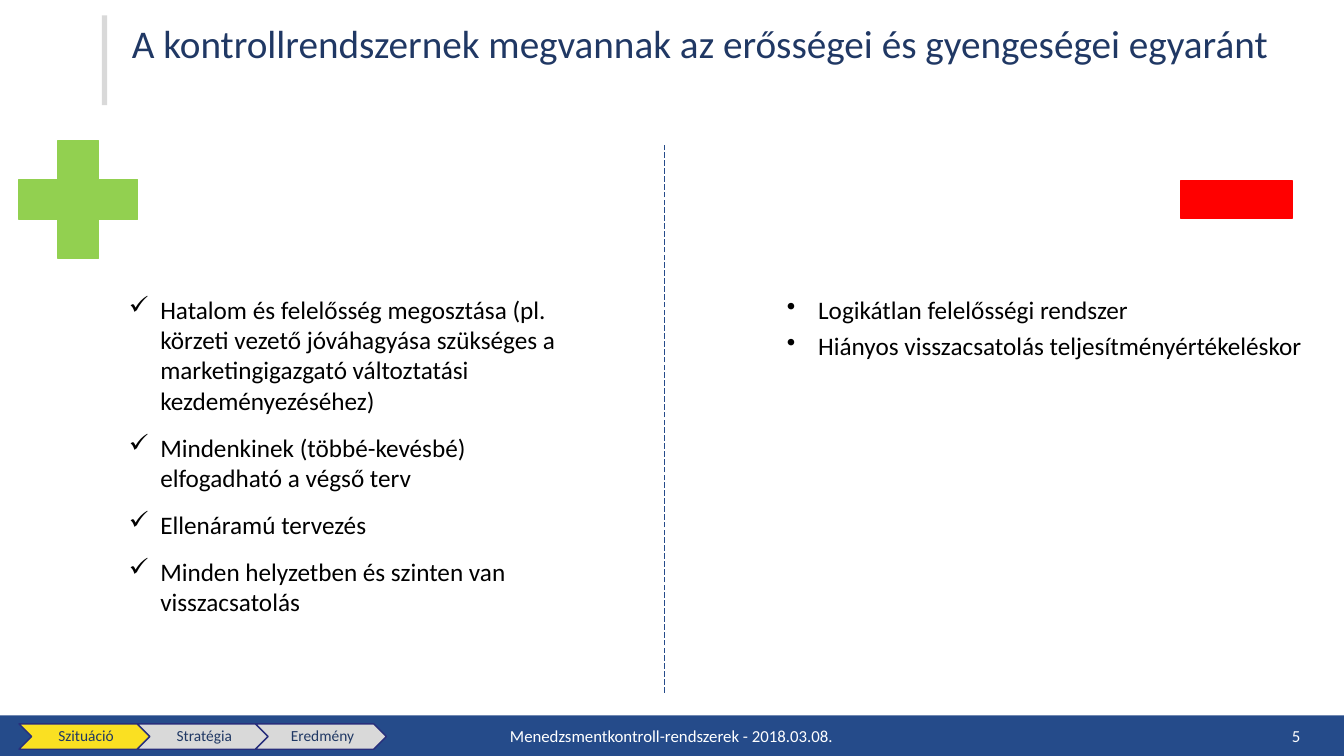
"""Build a slide on the strengths and weaknesses of a control system."""
import lxml.etree
import pptx
import pptx.dml.color
import pptx.enum.dml
import pptx.enum.shapes
import pptx.enum.text
import pptx.oxml.ns
import pptx.util

Cm = pptx.util.Cm
Pt = pptx.util.Pt
RGB = pptx.dml.color.RGBColor
SHAPE = pptx.enum.shapes.MSO_SHAPE
ALIGN = pptx.enum.text.PP_ALIGN
ANCHOR = pptx.enum.text.MSO_ANCHOR
qn = pptx.oxml.ns.qn

BLUE = RGB(0x25, 0x4B, 0x8A)
NAVY = RGB(0x20, 0x38, 0x64)
OUTLINE = RGB(0x28, 0x2F, 0x7C)
GREY = RGB(0xD9, 0xD9, 0xD9)
YELLOW = RGB(0xFA, 0xE0, 0x22)
GREEN = RGB(0x92, 0xD0, 0x50)
RED = RGB(0xFF, 0x00, 0x00)
BLACK = RGB(0x00, 0x00, 0x00)
WHITE = RGB(0xFF, 0xFF, 0xFF)

STRENGTHS = [
    "Hatalom és felelősség megosztása (pl. körzeti vezető jóváhagyása szükséges a "
    "marketingigazgató változtatási kezdeményezéséhez)",
    "Mindenkinek (többé-kevésbé) elfogadható a végső terv",
    "Ellenáramú tervezés",
    "Minden helyzetben és szinten van visszacsatolás",
]
WEAKNESSES = [
    "Logikátlan felelősségi rendszer",
    "Hiányos visszacsatolás teljesítményértékeléskor",
]
STAGES = [("Szituáció", YELLOW), ("Stratégia", GREY), ("Eredmény", GREY)]
STAGE_LEFT, STAGE_PITCH = 0.48, 2.98


def set_font(paragraph, size, color):
    """Give a paragraph its font, size and colour."""
    paragraph.font.name = "Calibri"
    paragraph.font.size = Pt(size)
    paragraph.font.color.rgb = color


def add_block(slide, preset, left, top, width, height, fill, outline=None):
    """Add a filled preset shape with an optional outline."""
    block = slide.shapes.add_shape(preset, Cm(left), Cm(top), Cm(width), Cm(height))
    block.shadow.inherit = False
    block.fill.solid()
    block.fill.fore_color.rgb = fill
    if outline is None:
        block.line.fill.background()
    else:
        block.line.color.rgb = outline
        block.line.width = Pt(1)
    return block


def add_stage(slide, left, label, fill):
    """Add one labelled chevron of the progress tracker."""
    stage = add_block(slide, SHAPE.CHEVRON, left, 18.24, 3.3, 0.64, fill, OUTLINE)
    frame = stage.text_frame
    frame.margin_left = Cm(0.13)
    frame.margin_right = frame.margin_top = frame.margin_bottom = Cm(0.05)
    frame.vertical_anchor = ANCHOR.MIDDLE
    paragraph = frame.paragraphs[0]
    paragraph.text = label
    paragraph.alignment = ALIGN.CENTER
    paragraph.line_spacing = 0.9
    set_font(paragraph, 11, NAVY)


def add_text_frame(slide, left, top, width, height):
    """Add a wrapping text box and return its text frame."""
    box = slide.shapes.add_textbox(Cm(left), Cm(top), Cm(width), Cm(height))
    box.text_frame.word_wrap = True
    return box.text_frame


def add_bullets(frame, items, bullet, indent, before, after, spacing):
    """Fill a text frame with a bulleted list."""
    for index, item in enumerate(items):
        paragraph = frame.add_paragraph() if index else frame.paragraphs[0]
        paragraph.text = item
        paragraph.space_before = Pt(before)
        paragraph.space_after = Pt(after)
        paragraph.line_spacing = spacing
        set_font(paragraph, 18, BLACK)
        properties = paragraph._p.get_or_add_pPr()
        properties.set("marL", str(Cm(indent)))
        properties.set("indent", str(-Cm(0.79)))
        mark = lxml.etree.Element(qn("a:buChar"), char=bullet)
        properties.find(qn("a:defRPr")).addprevious(mark)


def add_footer(slide, left, width, text, alignment):
    """Add a white text on the bottom bar."""
    frame = add_text_frame(slide, left, 18.03, width, 1.02)
    frame.vertical_anchor = ANCHOR.MIDDLE
    paragraph = frame.paragraphs[0]
    paragraph.text = text
    paragraph.alignment = alignment
    set_font(paragraph, 12, WHITE)


def add_divider(slide, x, top, bottom):
    """Add the dashed vertical line between the two columns."""
    divider = slide.shapes.add_connector(
        pptx.enum.shapes.MSO_CONNECTOR.STRAIGHT, Cm(x), Cm(bottom), Cm(x), Cm(top))
    divider.line.color.rgb = BLUE
    divider.line.width = Pt(0.5)
    divider.line.dash_style = pptx.enum.dml.MSO_LINE.LONG_DASH
    lxml.etree.SubElement(divider._element.spPr, qn("a:effectLst"))


def set_title(slide, text):
    """Place and format the title placeholder."""
    title = slide.shapes.title
    title.left, title.top, title.width, title.height = Cm(3.07), Cm(0.5), Cm(29.64), Cm(2.26)
    frame = title.text_frame
    frame.auto_size = pptx.enum.text.MSO_AUTO_SIZE.NONE
    frame.vertical_anchor = ANCHOR.TOP
    paragraph = frame.paragraphs[0]
    paragraph.text = text
    paragraph.alignment = ALIGN.LEFT
    paragraph.line_spacing = 0.9
    set_font(paragraph, 28, NAVY)


def main():
    """Build and save the slide."""
    deck = pptx.Presentation()
    deck.slide_width, deck.slide_height = Cm(33.87), Cm(19.05)
    slide = deck.slides.add_slide(deck.slide_layouts[5])

    add_block(slide, SHAPE.RECTANGLE, 0, 18.03, 33.87, 1.02, BLUE)
    add_block(slide, SHAPE.RECTANGLE, 2.57, 0.39, 0.13, 2.26, GREY)
    set_title(slide, "A kontrollrendszernek megvannak az erősségei és gyengeségei egyaránt")

    plus = add_block(slide, SHAPE.CROSS, 0.48, 3.54, 2.98, 2.98, GREEN, GREEN)
    plus.adjustments[0] = 0.33
    add_block(slide, SHAPE.RECTANGLE, 29.76, 4.55, 2.8, 0.96, RED, RED)

    strengths = add_text_frame(slide, 1.73, 7.29, 12.65, 11.25)
    add_bullets(strengths, STRENGTHS, "✓", 2.06, 6, 6, 1.0)
    weaknesses = add_text_frame(slide, 19.58, 7.37, 13.94, 1.9)
    add_bullets(weaknesses, WEAKNESSES, "•", 0.79, 0, 6.3, 0.9)
    add_divider(slide, 16.74, 3.63, 17.45)

    for index, (label, fill) in enumerate(STAGES):
        add_stage(slide, STAGE_LEFT + index * STAGE_PITCH, label, fill)
    add_footer(slide, 9.75, 14.35, "Menedzsmentkontroll-rendszerek - 2018.03.08.", ALIGN.CENTER)
    add_footer(slide, 25.4, 7.62, "5", ALIGN.RIGHT)

    deck.save("out.pptx")


if __name__ == "__main__":
    main()
